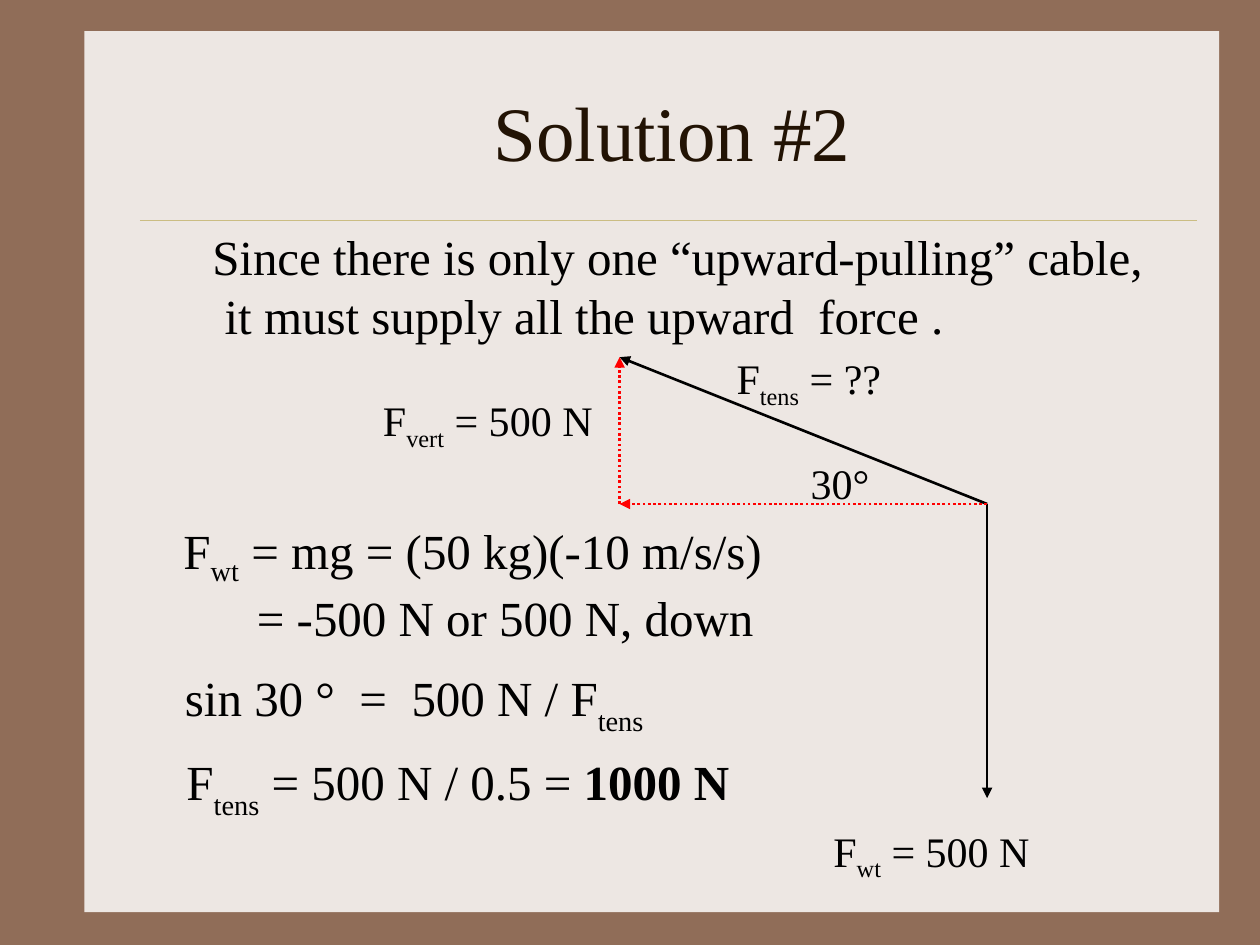
from lxml.etree import SubElement
from pptx import Presentation
from pptx.dml.color import RGBColor
from pptx.enum.dml import MSO_LINE
from pptx.enum.shapes import MSO_CONNECTOR, MSO_SHAPE
from pptx.enum.text import MSO_ANCHOR, MSO_AUTO_SIZE, PP_ALIGN
from pptx.oxml.ns import qn
from pptx.util import Cm, Pt

COLORS = {
    "frame": "906D58",
    "panel": "EDE7E3",
    "rule": "CBBD83",
    "title": "221304",
    "text": "000000",
    "component": "FF0000",
}
FONT = "Times New Roman"


def rgb(name):
    return RGBColor.from_string(COLORS[name])


def add_run(p, text, size=28, color="text", bold=False, drop=0):
    r = p.add_run()
    r.text = text
    r.font.name = FONT
    r.font.size = Pt(size)
    r.font.bold = bold
    r.font.color.rgb = rgb(color)
    if drop:
        r._r.get_or_add_rPr().set("baseline", str(-1000 * drop))


def sub(text, drop=25):
    return text, {"drop": drop}


class SlideBuilder:
    def __init__(self, prs):
        self.slide = prs.slides.add_slide(prs.slide_layouts[5])
        fill = self.slide.background.fill
        fill.solid()
        fill.fore_color.rgb = rgb("frame")

    def panel(self, x, y, w, h):
        sp = self.slide.shapes.add_shape(
            MSO_SHAPE.RECTANGLE, Cm(x), Cm(y), Cm(w), Cm(h))
        sp.shadow.inherit = False
        sp.fill.solid()
        sp.fill.fore_color.rgb = rgb("panel")
        sp.line.fill.background()
        self.slide.shapes._spTree.insert(2, sp._element)

    def title(self, text, x, y, w, h):
        sp = self.slide.shapes.title
        sp.left, sp.top, sp.width, sp.height = Cm(x), Cm(y), Cm(w), Cm(h)
        tf = sp.text_frame
        tf.vertical_anchor = MSO_ANCHOR.MIDDLE
        p = tf.paragraphs[0]
        p.alignment = PP_ALIGN.CENTER
        add_run(p, text, size=44, color="title")

    def line(self, start, end, color="text", width=1.5, dotted=False, arrow=True):
        cx = self.slide.shapes.add_connector(
            MSO_CONNECTOR.STRAIGHT, *(Cm(v) for v in start + end))
        cx.line.color.rgb = rgb(color)
        cx.line.width = Pt(width)
        if dotted:
            cx.line.dash_style = MSO_LINE.ROUND_DOT
        if arrow:
            SubElement(cx.line._get_or_add_ln(), qn("a:tailEnd"), type="triangle")
        SubElement(cx._element.spPr, qn("a:effectLst"))

    def text(self, lines, x, y, w, h, size=28, indent=0):
        sp = self.slide.shapes.add_textbox(Cm(x), Cm(y), Cm(w), Cm(h))
        tf = sp.text_frame
        tf.word_wrap = False
        tf.auto_size = MSO_AUTO_SIZE.SHAPE_TO_FIT_TEXT
        for i, runs in enumerate(lines):
            p = tf.add_paragraph() if i else tf.paragraphs[0]
            if i and indent:
                p._p.get_or_add_pPr().set("marL", str(Cm(indent)))
            for run in runs:
                text, style = (run, {}) if isinstance(run, str) else run
                add_run(p, text, size=size, **style)


def main():
    prs = Presentation()
    prs.slide_width, prs.slide_height = Cm(25.4), Cm(19.05)
    s = SlideBuilder(prs)

    s.line((2.82, 4.44), (24.13, 4.44), color="rule", width=0.25, arrow=False)
    s.panel(1.7, 0.63, 22.88, 17.76)
    s.title("Solution #2", 2.97, 1.05, 21.16, 3.18)

    origin, corner, top = (19.9, 10.16), (12.49, 10.16), (12.49, 7.2)
    s.line(origin, top)
    s.line(origin, (origin[0], 16.09))
    s.line(origin, corner, color="component", dotted=True)
    s.line(corner, top, color="component", dotted=True)

    s.text([["F", sub("vert"), " = 500 N"]], 7.47, 7.83, 4.82, 1.42, size=24)
    s.text([["F", sub("tens"), " = ??"]], 14.6, 6.99, 4.17, 1.42, size=24)
    s.text([["30°"]], 16.09, 9.1, 1.78, 1.27, size=24)
    s.text([["F", sub("wt"), " = 500 N"]], 16.55, 16.51, 4.57, 1.42, size=24)

    s.text([["Since there is only one “upward-pulling” cable,"],
            ["it must supply all the upward  force ."]],
           4.03, 4.45, 19.4, 2.64, indent=0.25)
    s.text([["F", sub("wt"), " = mg = (50 kg)(-10 m/s/s)"],
            ["= -500 N or 500 N, down"]],
           3.45, 10.36, 12.27, 2.79, indent=1.48)
    s.text([["sin 30 °  =  500 N / F", sub("tens", 30)]], 3.48, 13.34, 9.85, 1.65)
    s.text([["F", sub("tens", 30), " = 500 N / 0.5 = ", ("1000 N", {"bold": True})]],
           3.51, 15.03, 11.58, 1.65)

    prs.save("out.pptx")


if __name__ == "__main__":
    main()
